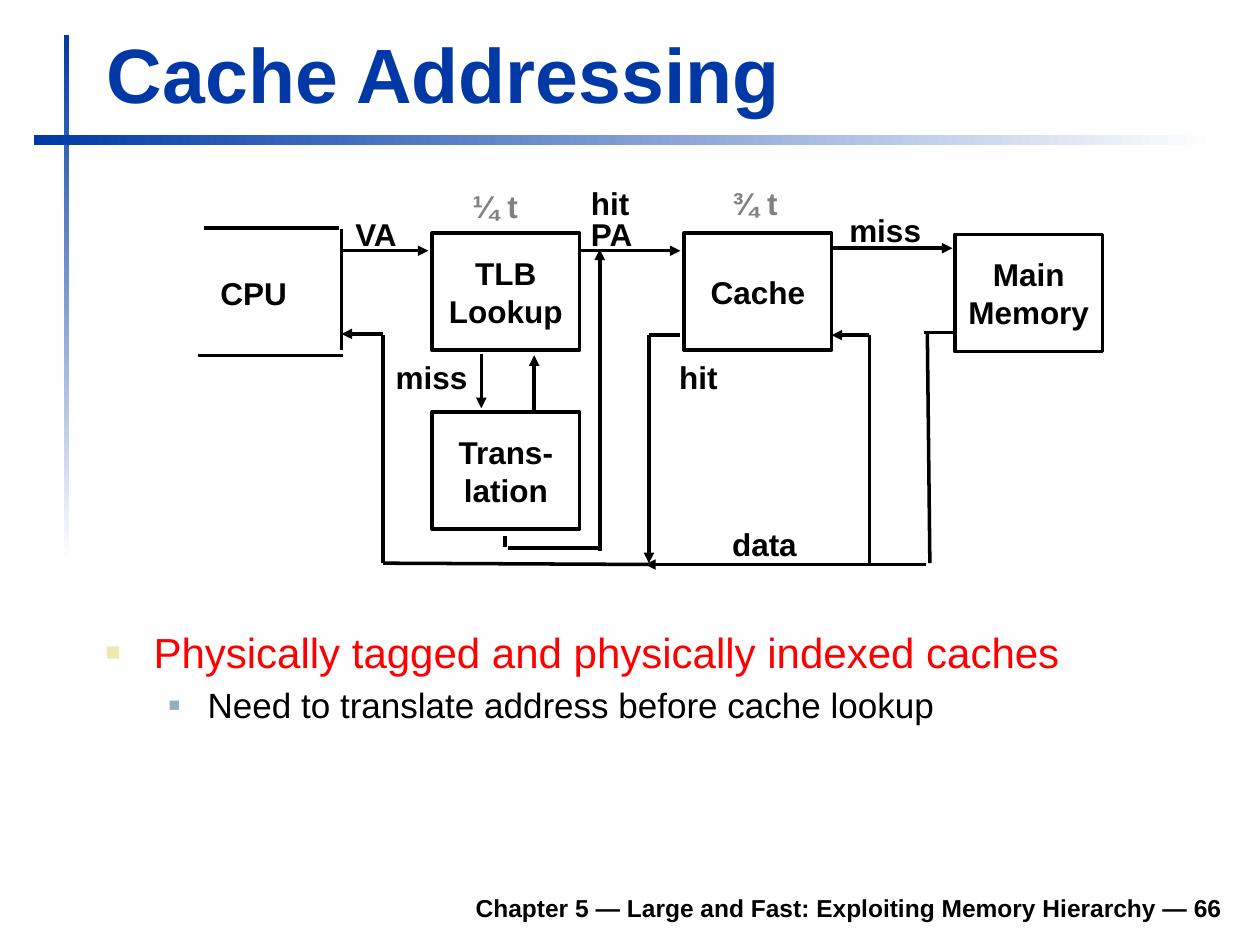
import pptx
import pptx.util
import pptx.dml.color
import pptx.enum.shapes
import pptx.enum.text
import pptx.oxml.ns
from dataclasses import dataclass
from lxml import etree

Inches, Pt = pptx.util.Inches, pptx.util.Pt
RGB = pptx.dml.color.RGBColor.from_string
Anchor = pptx.enum.text.MSO_ANCHOR
Align = pptx.enum.text.PP_ALIGN
RECT = pptx.enum.shapes.MSO_SHAPE.RECTANGLE
LINE = pptx.enum.shapes.MSO_CONNECTOR.STRAIGHT
qn = pptx.oxml.ns.qn


@dataclass(frozen=True)
class Theme:
    font: str = "Arial"
    ink: str = "000000"
    blue: str = "0039A6"
    white: str = "FFFFFF"
    gray: str = "808080"
    red: str = "FF0000"
    cream: str = "ECEAAC"
    steel: str = "91AFBF"
    title: int = 44
    lead: int = 24
    sub: int = 20
    label: int = 18
    foot: int = 14
    line: float = 2


T = Theme()


def put(obj, vals):
    for key, val in vals.items():
        setattr(obj, key, val)


def style(para, size, color, bold=True):
    put(para.font, {"name": T.font, "size": Pt(size), "bold": bold})
    para.font.color.rgb = RGB(color)


def write(shape, text, size, color, frame, form):
    put(shape.text_frame, frame)
    shape.text_frame.text = text
    for para in shape.text_frame.paragraphs:
        put(para, form)
        style(para, size, color)


def text(slide, box, words, size, color, frame, form):
    shape = slide.shapes.add_textbox(*map(Inches, box))
    write(shape, words, size, color, frame, form)


def bar(slide, box, angle):
    shape = slide.shapes.add_shape(RECT, *map(Inches, box))
    shape.shadow.inherit = False
    shape.line.fill.background()
    shape.fill.gradient()
    shape.fill.gradient_angle = angle
    for stop, color in zip(shape.fill.gradient_stops, (T.blue, T.white)):
        stop.color.rgb = RGB(color)


def frame(slide, box):
    x, y, w, h = box
    bar(slide, (x + 0.24, y, 0.04, h), 270)
    bar(slide, (x, y + 0.79, w, 0.08), 0)


def title(slide, box):
    text(slide, box, "Cache Addressing", T.title, T.blue,
         {"word_wrap": True, "vertical_anchor": Anchor.BOTTOM}, {})


def footer(slide, box):
    text(slide, box, "Chapter 5 — Large and Fast: Exploiting Memory Hierarchy — 66",
         T.foot, T.ink, {"word_wrap": True, "vertical_anchor": Anchor.BOTTOM},
         {"alignment": Align.RIGHT})


def node(slide, box, words):
    shape = slide.shapes.add_shape(RECT, *map(Inches, box))
    shape.shadow.inherit = False
    shape.fill.background()
    shape.line.color.rgb = RGB(T.ink)
    shape.line.width = Pt(T.line)
    write(shape, words, T.label, T.ink,
          {"word_wrap": False, "vertical_anchor": Anchor.MIDDLE},
          {"alignment": Align.CENTER})


def wire(slide, ends, arrow):
    line = slide.shapes.add_connector(LINE, *map(Inches, ends))
    line.line.color.rgb = RGB(T.ink)
    line.line.width = Pt(T.line)
    if arrow:
        etree.SubElement(line.line._get_or_add_ln(), qn("a:tailEnd"), type="triangle")
    etree.SubElement(line._element.spPr, qn("a:effectLst"))


def diagram(slide, box):
    left, top, _, _ = box
    wide, high = 1.17, 0.93
    nodes = [
        (1.93, 0.45, "TLB\nLookup"), (3.93, 0.45, "Cache"),
        (6.08, 0.46, "Main\nMemory"), (1.93, 1.87, "Trans-\nlation"),
    ]
    plain = [
        (0.12, 0.41, 1.19, 0.41), (1.21, 0.42, 1.21, 1.38), (1.22, 1.42, 0.07, 1.42),
        (6.08, 1.24, 5.83, 1.24), (5.86, 1.25, 5.88, 3.07),
        (3.65, 3.08, 1.54, 3.07), (1.54, 3.07, 1.54, 1.26),
        (2.51, 2.85, 2.51, 2.94), (2.53, 2.95, 3.25, 2.95),
        (5.4, 1.26, 5.4, 3.07), (3.65, 1.26, 3.9, 1.26),
    ]
    arrows = [
        (1.22, 0.59, 1.9, 0.59), (3.1, 0.59, 3.9, 0.59), (5.11, 0.57, 6.06, 0.57),
        (1.54, 1.25, 1.21, 1.25), (5.4, 1.26, 5.1, 1.26), (3.65, 1.26, 3.65, 3.07),
        (2.32, 1.41, 2.32, 1.84), (2.74, 1.85, 2.74, 1.42),
        (3.26, 2.97, 3.26, 0.58), (5.85, 3.08, 3.62, 3.08),
    ]
    labels = [
        (0.18, 0.79, 0.67, "CPU", T.ink), (1.25, 0.32, 0.49, "VA", T.ink),
        (3.12, 0.08, 0.44, "hit", T.ink), (3.12, 0.32, 0.49, "PA", T.ink),
        (5.17, 0.29, 0.71, "miss", T.ink), (3.82, 1.46, 0.44, "hit", T.ink),
        (1.57, 1.46, 0.71, "miss", T.ink), (4.24, 2.78, 0.65, "data", T.ink),
        (4.24, 0.08, 0.5, "¾ t", T.gray), (2.18, 0.1, 0.57, "¼ t", T.gray),
    ]
    tight = {"word_wrap": True, "margin_left": Inches(0.07), "margin_right": 0,
             "margin_top": Inches(0.03), "margin_bottom": Inches(0.03)}
    for x, y, words in nodes:
        node(slide, (left + x, top + y, wide, high), words)
    for group, arrow in ((plain, False), (arrows, True)):
        for a, b, c, d in group:
            wire(slide, (left + a, top + b, left + c, top + d), arrow)
    for x, y, w, words, color in labels:
        text(slide, (left + x, top + y, w, 0.29), words, T.label, color,
             tight, {"line_spacing": 0.85})


def bullet(para, left, hang, color, size):
    props = para._p.get_or_add_pPr()
    props.set("marL", str(Inches(left)))
    props.set("indent", str(-Inches(hang)))
    tint = etree.SubElement(props, qn("a:buClr"))
    etree.SubElement(tint, qn("a:srgbClr"), val=color)
    etree.SubElement(props, qn("a:buSzPct"), val=str(size * 1000))
    etree.SubElement(props, qn("a:buFont"), typeface=T.font)
    etree.SubElement(props, qn("a:buChar"), char="■")


def points(slide, box):
    body = slide.shapes.add_textbox(*map(Inches, box)).text_frame
    body.word_wrap = True
    body.text = ("Physically tagged and physically indexed caches\n"
                 "Need to translate address before cache lookup")
    lead, sub = body.paragraphs
    bullet(lead, 0.38, 0.38, T.cream, 60)
    style(lead, T.lead, T.red, False)
    bullet(sub, 0.81, 0.31, T.steel, 55)
    put(sub, {"level": 1, "space_before": Pt(4)})
    style(sub, T.sub, T.ink, False)


def main():
    deck = pptx.Presentation()
    put(deck, {"slide_width": Inches(10), "slide_height": Inches(7.5)})
    slide = deck.slides.add_slide(deck.slide_layouts[6])
    frame(slide, (0.27, 0.28, 9.37, 4.17))
    title(slide, (0.75, 0.16, 9.03, 0.83))
    footer(slide, (1.85, 6.98, 7.95, 0.39))
    diagram(slide, (1.5, 1.4, 7.3, 3.1))
    points(slide, (0.74, 4.92, 9.05, 0.91))
    deck.save("out.pptx")


if __name__ == "__main__":
    main()
